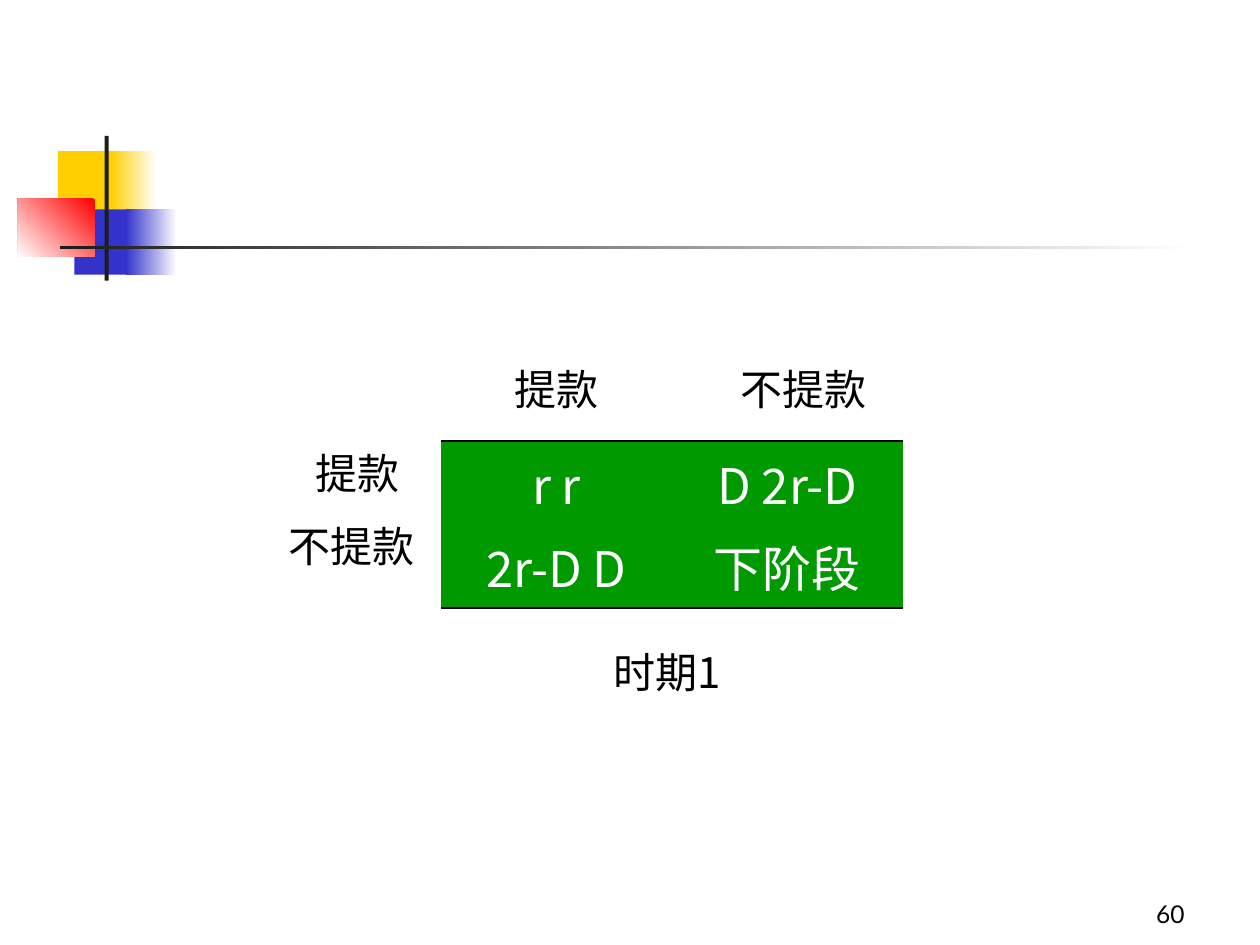
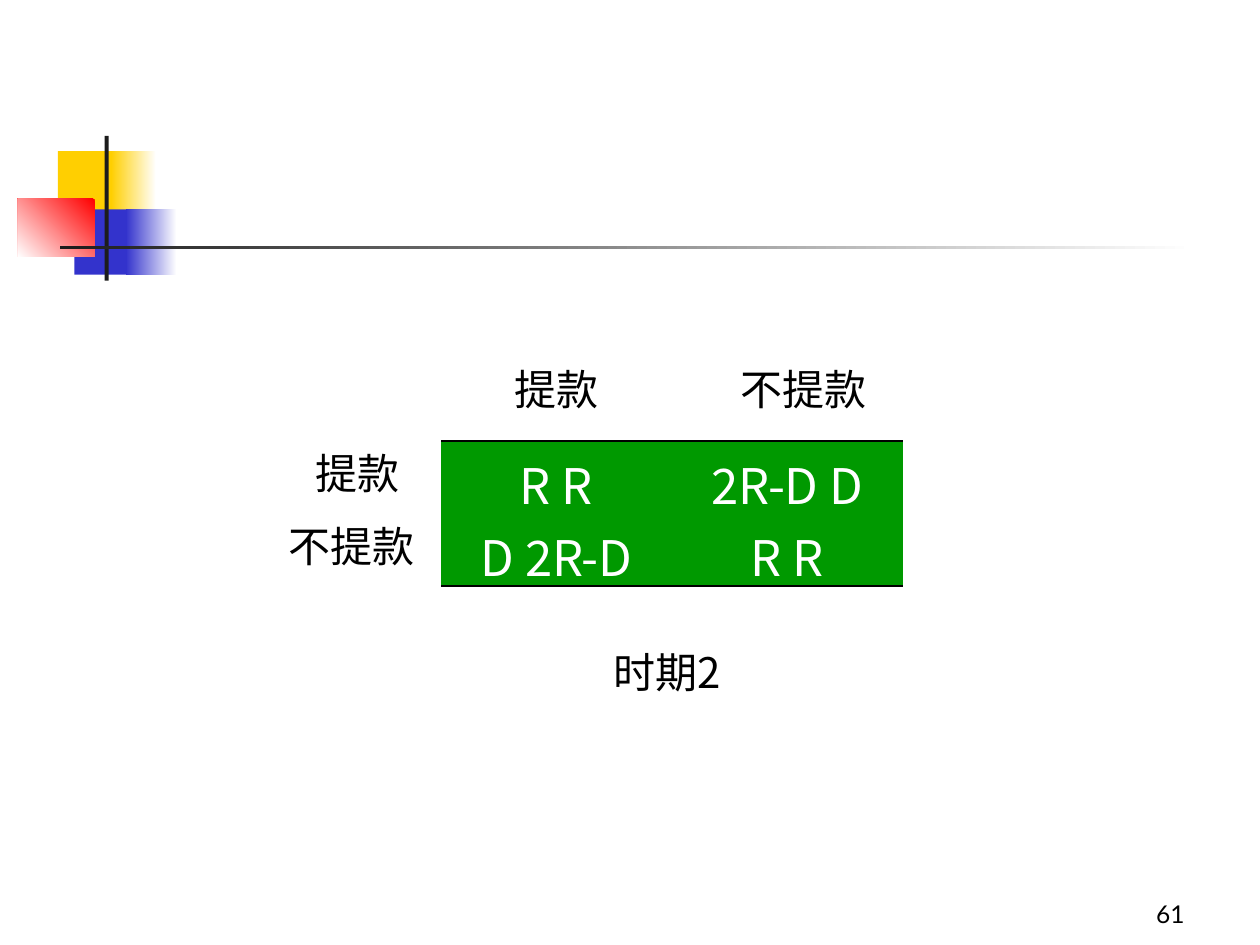
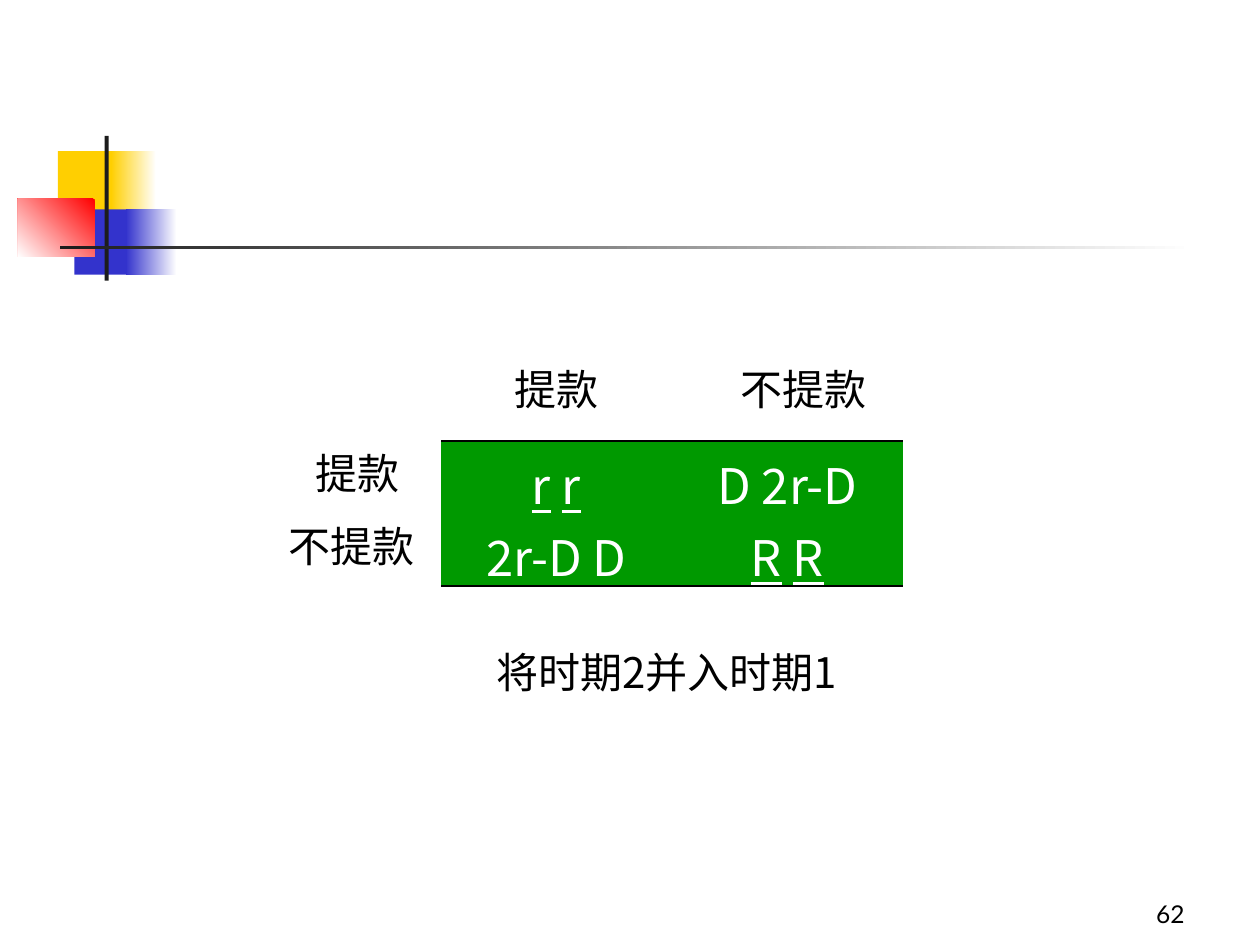
import dataclasses

import lxml.etree
import pptx
import pptx.dml.color
import pptx.enum.shapes
import pptx.enum.text
import pptx.oxml.ns
import pptx.util

Cm = pptx.util.Cm
Pt = pptx.util.Pt
qn = pptx.oxml.ns.qn
ALIGN = pptx.enum.text.PP_ALIGN
ANCHOR = pptx.enum.text.MSO_ANCHOR
GROW = pptx.enum.text.MSO_AUTO_SIZE.SHAPE_TO_FIT_TEXT


@dataclasses.dataclass(frozen=True)
class Theme:
    """Colours, fonts and type sizes of the deck."""
    white: str = "FFFFFF"
    black: str = "000000"
    ink: str = "1C1C1C"
    gold: str = "FFCF01"
    blue: str = "3333CC"
    red: str = "FF0000"
    green: str = "009900"
    latin: str = "Lato"
    asian: str = "Noto Sans CJK SC"
    cell: int = 28
    label: int = 24
    number: int = 14
    rule: float = 1.08
    plain: str = "{2D5ABB26-0587-4C30-8999-92F81FD0307C}"


THEME = Theme()

DECOR = [
    ((1.17, 3.05, 1.22, 1.32), [THEME.gold], 0),
    ((2.24, 3.05, 0.91, 1.32), [THEME.white, THEME.gold], 180),
    ((1.5, 4.22, 1.17, 1.32), [THEME.blue], 0),
    ((2.54, 4.22, 1.02, 1.32), [THEME.white, THEME.blue], 180),
    ((0.36, 4.01, 1.55, 1.17), [THEME.red, THEME.white], 225),
    ((2.11, 2.74, 0.08, 2.92), [THEME.ink], 0),
    ((1.22, 4.95, 22.86, 0.08), [THEME.white, THEME.ink], 180),
]

LABELS = [
    ("提款", (9.74, 7.2, 2.96, 1.27)),
    ("不提款", (14.6, 7.2, 3.18, 1.27)),
    ("提款", (5.72, 8.89, 2.96, 1.27)),
    ("不提款", (5.5, 10.37, 3.18, 1.27)),
]

GAMES = [
    ("时期1", [["r r", "D 2r-D"], ["2r-D D", "下阶段"]]),
    ("时期2", [["R R", "2R-D D"], ["D 2R-D", "R R"]]),
    ("将时期2并入时期1", [["_r_ _r_", "D 2r-D"], ["2r-D D", "_R_ _R_"]]),
]

FIRST = 60


def place(box):
    """Turn a box in centimetres into lengths."""
    return [Cm(side) for side in box]


def tint(code):
    """Make a colour from its hex code."""
    return pptx.dml.color.RGBColor.from_string(code)


def assign(thing, values):
    """Set each attribute that a dict of format values names."""
    for name, value in values.items():
        setattr(thing, name, value)


def write(frame, text, size, color, face, align):
    """Fill a text frame, underlining what stands between underscores."""
    para = frame.paragraphs[0]
    para.alignment = align
    for index, part in enumerate(text.split("_")):
        if part:
            run = para.add_run()
            run.text = part
            assign(run.font, {"size": Pt(size), "name": face, "underline": index % 2 == 1})
            run.font.color.rgb = tint(color)
            asian = lxml.etree.SubElement(run.font._element, qn("a:ea"))
            asian.set("typeface", THEME.asian)


def add_patch(slide, box, colors, angle):
    """Draw a borderless rectangle in one colour or a two-colour fade."""
    patch = slide.shapes.add_shape(pptx.enum.shapes.MSO_SHAPE.RECTANGLE, *place(box))
    patch.shadow.inherit = False
    patch.line.fill.background()
    if len(colors) == 1:
        patch.fill.solid()
        patch.fill.fore_color.rgb = tint(colors[0])
    else:
        patch.fill.gradient()
        patch.fill.gradient_angle = angle
        for stop, color in zip(patch.fill.gradient_stops, colors):
            stop.color.rgb = tint(color)


def add_text(slide, text, box, size=THEME.label, face=THEME.latin, align=ALIGN.CENTER, **form):
    """Add a wrapped text box with further frame format values."""
    frame = slide.shapes.add_textbox(*place(box)).text_frame
    assign(frame, {"word_wrap": True, **form})
    write(frame, text, size, THEME.black, face, align)


def add_rule(cell, side):
    """Draw a black border on one side of a cell."""
    line = lxml.etree.Element(qn("a:" + side), w=str(Pt(THEME.rule)))
    fill = lxml.etree.SubElement(line, qn("a:solidFill"))
    lxml.etree.SubElement(fill, qn("a:srgbClr"), val=THEME.black)
    cell._tc.get_or_add_tcPr().insert(0, line)


def add_grid(slide, rows, box):
    """Add the payoff table, ruled at top and bottom."""
    table = slide.shapes.add_table(len(rows), len(rows[0]), *place(box)).table
    assign(table, {"first_row": False, "horz_banding": False})
    table._tbl.tblPr.find(qn("a:tableStyleId")).text = THEME.plain
    for row, texts in enumerate(rows):
        for col, text in enumerate(texts):
            cell = table.cell(row, col)
            cell.fill.solid()
            cell.fill.fore_color.rgb = tint(THEME.green)
            write(cell.text_frame, text, THEME.cell, THEME.white, THEME.asian, ALIGN.CENTER)
            if row == 0:
                add_rule(cell, "lnT")
            if row == len(rows) - 1:
                add_rule(cell, "lnB")


def add_game(deck, number, title, rows):
    """Build one slide with its payoff table, labels and caption."""
    slide = deck.slides.add_slide(deck.slide_layouts[6])
    for box, colors, angle in DECOR:
        add_patch(slide, box, colors, angle)
    add_grid(slide, rows, (8.89, 8.89, 9.31, 2.92))
    for text, box in LABELS:
        add_text(slide, text, box, auto_size=GROW)
    add_text(slide, title, (8.68, 12.91, 9.53, 1.27), face=THEME.asian, auto_size=GROW)
    add_text(slide, str(number), (18.84, 17.57, 5.29, 1.27), size=THEME.number,
             align=ALIGN.RIGHT, vertical_anchor=ANCHOR.BOTTOM)


def main():
    """Build the deck and save it."""
    deck = pptx.Presentation()
    assign(deck, {"slide_width": Cm(25.4), "slide_height": Cm(19.05)})
    for number, (title, rows) in enumerate(GAMES, FIRST):
        add_game(deck, number, title, rows)
    deck.save("out.pptx")


if __name__ == "__main__":
    main()
